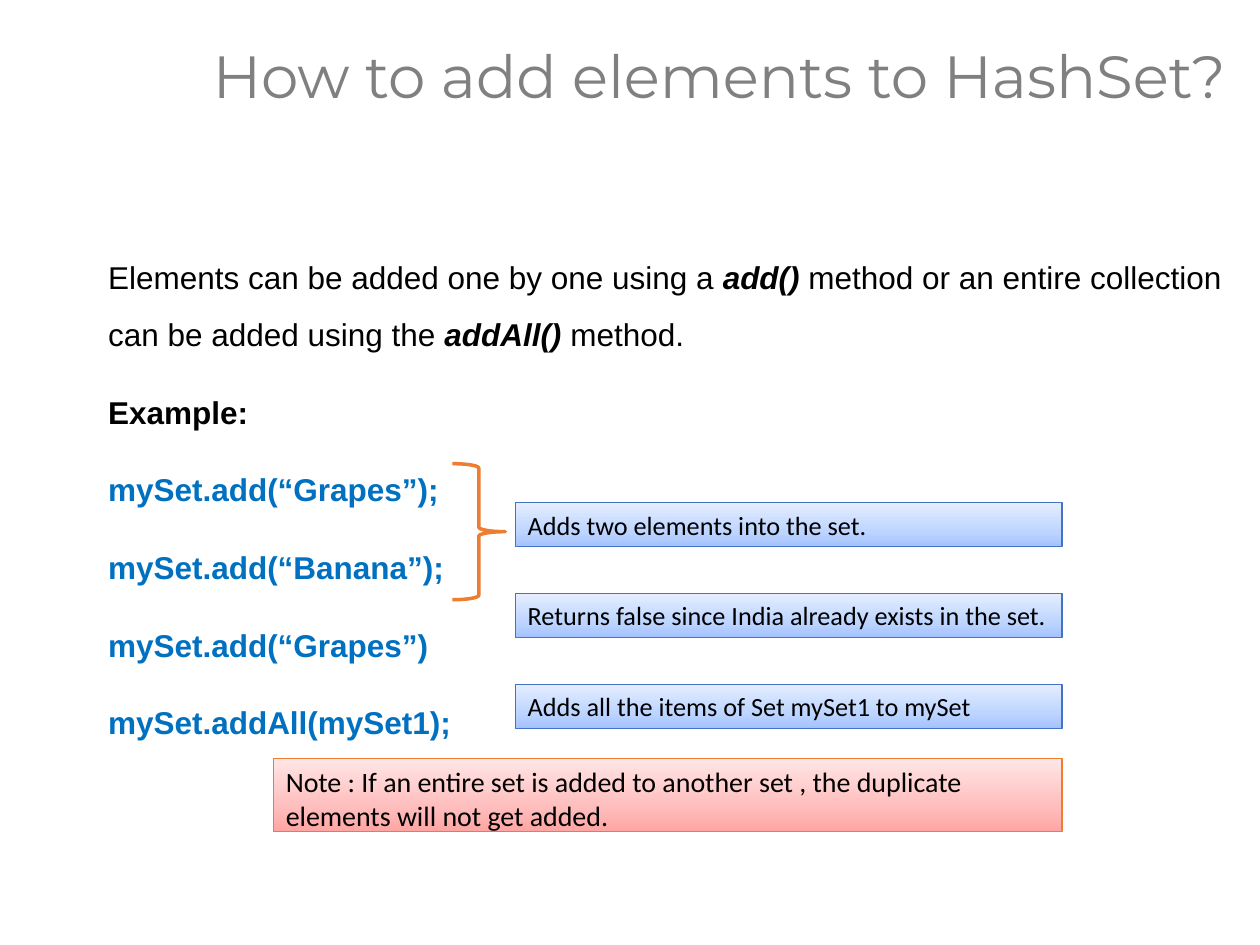
from copy import deepcopy
from dataclasses import dataclass

from pptx import Presentation
from pptx.dml.color import RGBColor
from pptx.enum.shapes import MSO_SHAPE
from pptx.enum.text import MSO_ANCHOR, PP_ALIGN
from pptx.oxml.ns import qn
from pptx.util import Inches, Pt

RECT = MSO_SHAPE.RECTANGLE
BRACE = MSO_SHAPE.RIGHT_BRACE
TOP = MSO_ANCHOR.TOP
MIDDLE = MSO_ANCHOR.MIDDLE
LEFT = PP_ALIGN.LEFT

BLACK = "000000"
GRAY = "808080"
CODE = "0070C0"
BLUE = "4472C4"
ORANGE = "ED7D31"
STOPS = (0, 0.35, 1)
COOL = ("A3C2FF", "BDD5FF", "E5EEFF")
WARM = ("FFA5A3", "FFBEBE", "FFE6E6")


@dataclass
class Run:
    text: str
    color: str = BLACK
    bold: bool = False
    slant: bool = False


@dataclass
class Note:
    text: str
    left: float
    top: float
    width: float
    height: float
    size: float = 15
    tints: tuple[str, ...] = COOL
    edge: str = BLUE


def paint(code: str) -> RGBColor:
    return RGBColor.from_string(code)


def add_run(para, run: Run, face: str, size: float) -> None:
    part = para.add_run()
    part.text = run.text
    font = part.font
    font.name = face
    font.size = Pt(size)
    font.bold = run.bold
    font.italic = run.slant
    font.color.rgb = paint(run.color)


def add_box(slide, left: float, top: float, width: float, height: float, anchor):
    box = slide.shapes.add_textbox(
        Inches(left), Inches(top), Inches(width), Inches(height)
    )
    frame = box.text_frame
    frame.word_wrap = True
    frame.vertical_anchor = anchor
    return frame


def add_title(slide, text: str) -> None:
    para = add_box(slide, 1.59, 0.01, 8.41, 1.24, MIDDLE).paragraphs[0]
    para.line_spacing = 0.9
    add_run(para, Run(text, GRAY), "Montserrat", 34)


def add_body(slide, lines: list[list[Run]]) -> None:
    frame = add_box(slide, 0.01, 1.85, 9.83, 4.75, TOP)
    for i, line in enumerate(lines):
        para = frame.add_paragraph() if i else frame.paragraphs[0]
        props = para._p.get_or_add_pPr()
        props.set("marL", str(Inches(0.75)))
        props.set("indent", "0")
        para.line_spacing = 1.5
        if i:
            para.space_before = Pt(12)
        for run in line:
            add_run(para, run, "Arial", 18)


def add_shape(slide, kind, left: float, top: float, width: float, height: float,
              edge: str, weight: float):
    shape = slide.shapes.add_shape(
        kind, Inches(left), Inches(top), Inches(width), Inches(height)
    )
    shape.shadow.inherit = False
    shape.line.color.rgb = paint(edge)
    shape.line.width = Pt(weight)
    return shape


def shade(shape, tints: tuple[str, ...]) -> None:
    fill = shape.fill
    fill.gradient()
    fill.gradient_angle = 90
    stops = shape._element.spPr.find(qn("a:gradFill")).find(qn("a:gsLst"))
    stops.append(deepcopy(stops[0]))
    for stop, place, tint in zip(fill.gradient_stops, STOPS, tints):
        stop.position = place
        stop.color.rgb = paint(tint)


def add_note(slide, note: Note) -> None:
    shape = add_shape(slide, RECT, note.left, note.top, note.width, note.height,
                      note.edge, 0.75)
    shade(shape, note.tints)
    frame = shape.text_frame
    frame.word_wrap = True
    frame.vertical_anchor = TOP
    para = frame.paragraphs[0]
    para.alignment = LEFT
    add_run(para, Run(note.text), "Calibri", note.size)


def main() -> None:
    deck = Presentation()
    deck.slide_width = Inches(10)
    deck.slide_height = Inches(7.5)
    slide = deck.slides.add_slide(deck.slide_layouts[6])

    add_title(slide, "How to add elements to HashSet?")

    intro = [
        Run("Elements can be added one by one using a "),
        Run("add() ", bold=True, slant=True),
        Run("method or an entire collection can be added using the "),
        Run("addAll() ", bold=True, slant=True),
        Run("method."),
    ]
    calls = [
        "mySet.add(“Grapes”);",
        "mySet.add(“Banana”);",
        "mySet.add(“Grapes”)",
        "mySet.addAll(mySet1);",
    ]
    code = [[Run(call, CODE, bold=True)] for call in calls]
    add_body(slide, [intro, [Run("Example:", bold=True)], *code])

    brace = add_shape(slide, BRACE, 3.59, 3.68, 0.42, 1.08, ORANGE, 2)
    brace.fill.background()

    texts = [
        "Adds two elements into the set.",
        "Returns false since India already exists in the set.",
        "Adds all the items of Set mySet1 to mySet",
    ]
    for i, text in enumerate(texts):
        add_note(slide, Note(text, 4.09, 3.99 + i * 0.72, 4.34, 0.35))
    add_note(slide, Note(
        "Note : If an entire set is added to another set , "
        "the duplicate elements will not get added.",
        2.17, 6.02, 6.26, 0.58, 16, WARM, ORANGE,
    ))

    deck.save("out.pptx")


if __name__ == "__main__":
    main()
